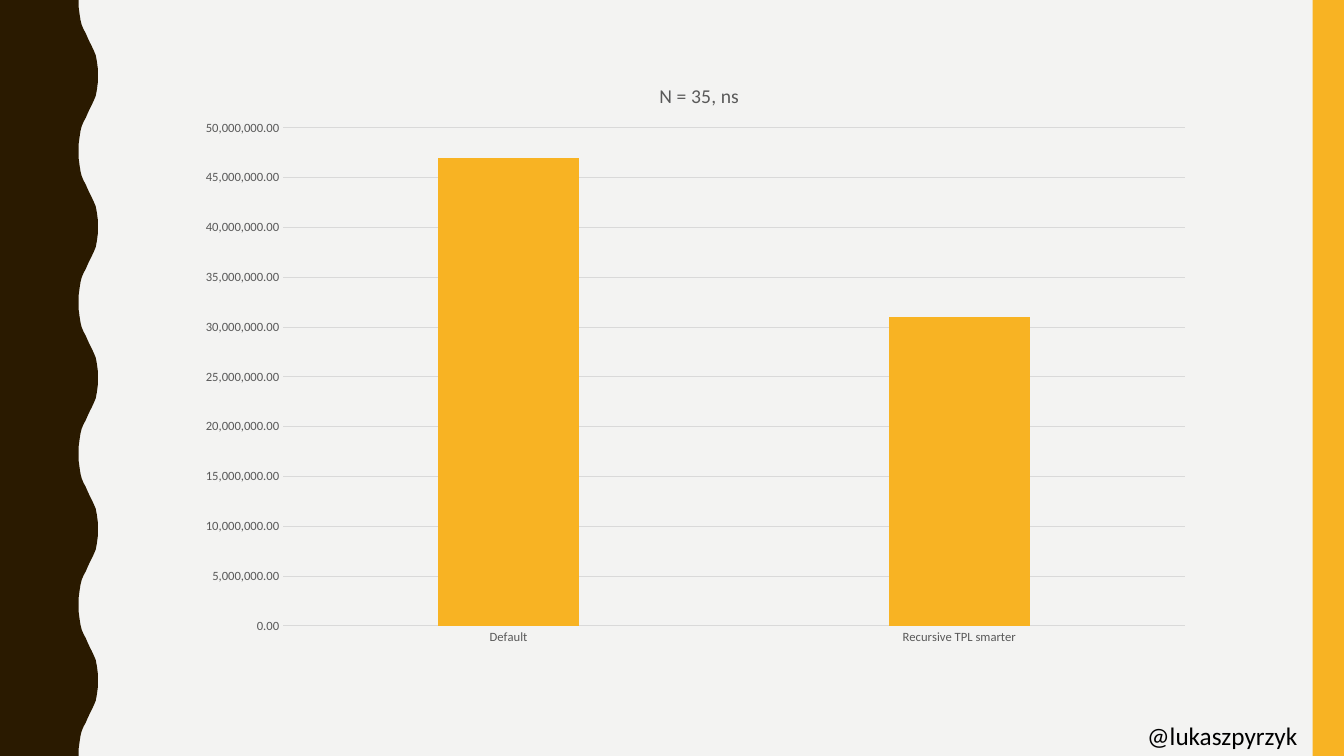
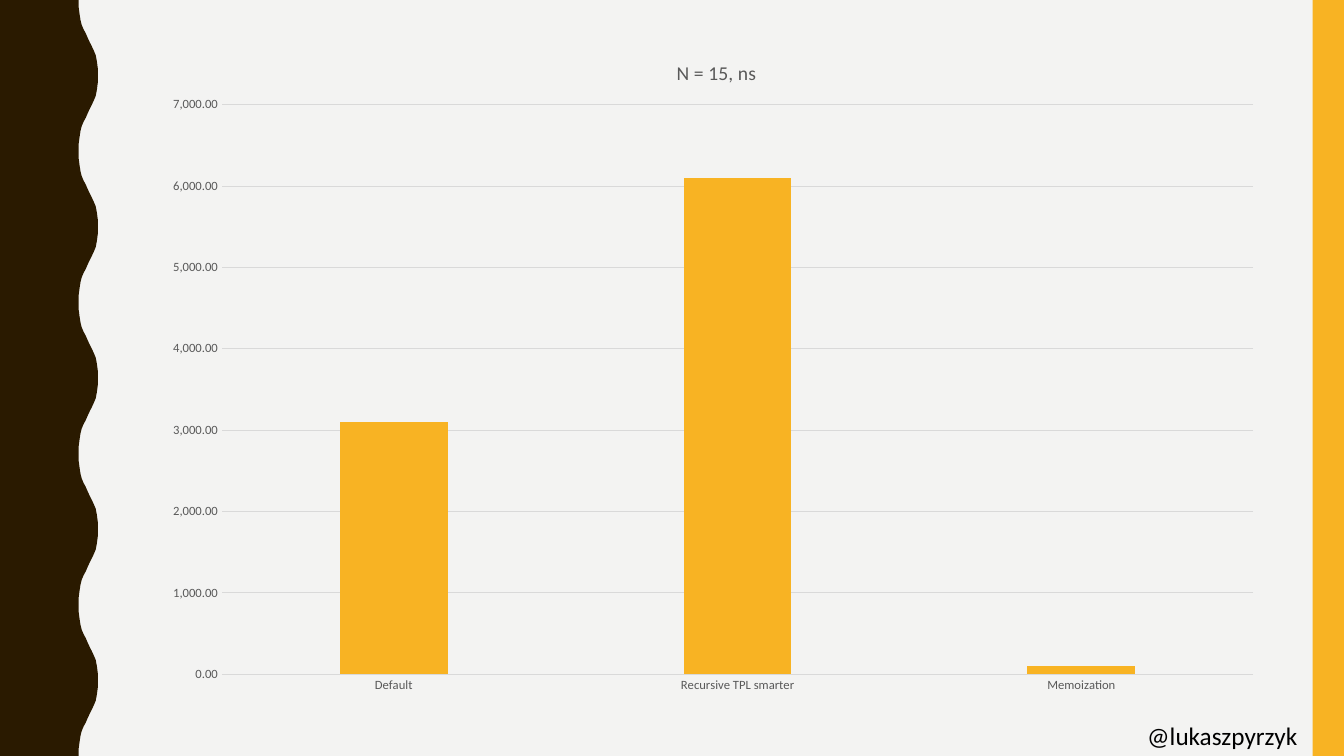
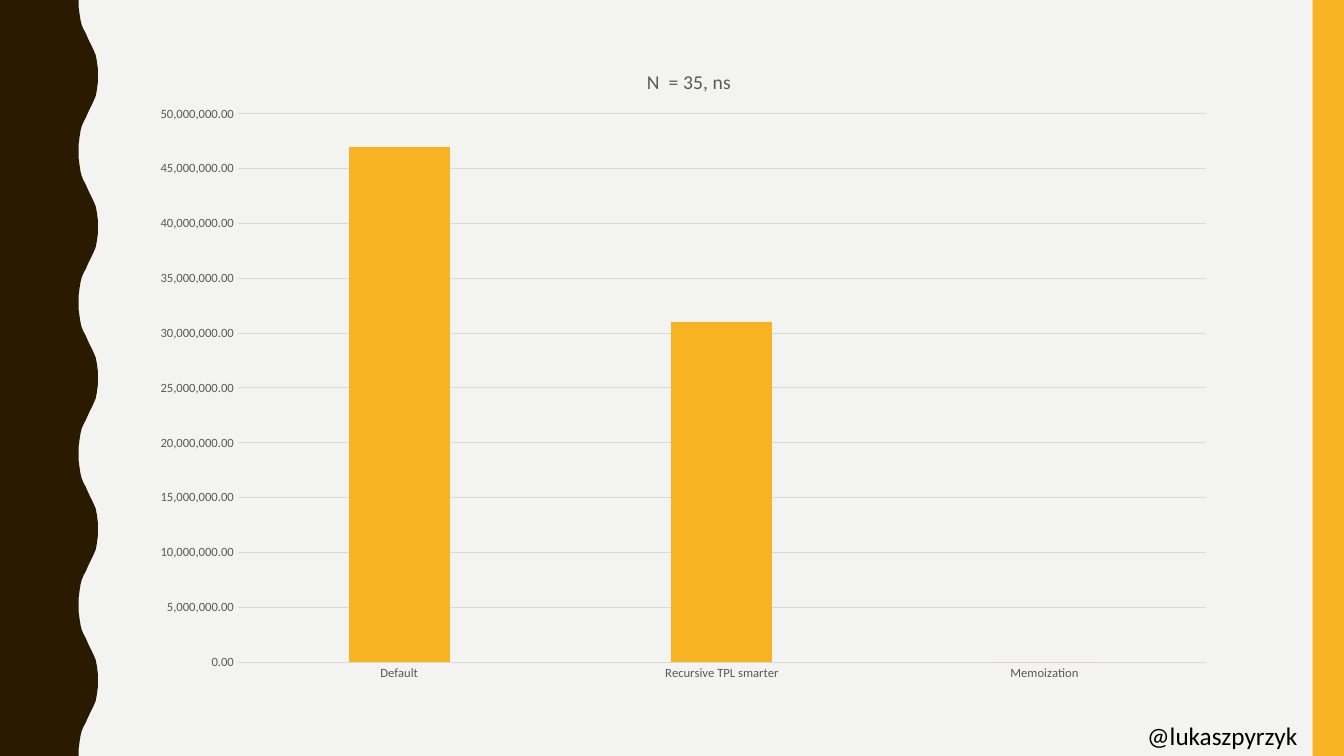
from pptx import Presentation
from pptx.chart.data import CategoryChartData
from pptx.dml.color import RGBColor
from pptx.enum.chart import XL_CHART_TYPE as ChartType, XL_TICK_MARK as TickMark
from pptx.enum.shapes import MSO_SHAPE as Preset
from pptx.oxml import parse_xml
from pptx.oxml.ns import nsdecls
from pptx.util import Inches, Pt

WIDTH, HEIGHT = 13.33, 7.5
FONT = "Calibri"
COLORS = {
    "paper": "F3F3F2",
    "wave": "2A1A00",
    "accent": "F8B323",
    "label": "595959",
    "rule": "D9D9D9",
    "ink": "000000",
}
HANDLE = "@lukaszpyrzyk"
CATEGORIES = ["Default", "Recursive TPL smarter", "Memoization"]

WAVE_COUNT = 5
WAVE_INNER, WAVE_OUTER = 5.85, 7.28
WAVE_PROFILE = [
    (0, 0), (0, 0.09), (0.05, 0.19), (0.1, 0.27), (0.16, 0.33),
    (0.26, 0.39), (0.37, 0.44), (0.47, 0.5), (0.58, 0.56), (0.68, 0.61),
    (0.79, 0.67), (0.89, 0.73), (0.95, 0.81), (1, 0.91), (1, 1),
]

PLOT_TOP, PLOT_RIGHT, PLOT_BOTTOM = 0.73, 0.22, 0.31
TITLE_TOP, TITLE_HALF_WIDTH = 0.24, 0.4

SLIDES = [
    {"title": "N = 35, ns", "area": (13.8, 7.2, 76, 79.73), "label_width": 0.97,
     "values": [47000000, 31000000], "top": 50000000, "step": 5000000},
    {"title": "N = 15, ns", "area": (11.25, 4.13, 83.65, 89.2), "label_width": 0.7,
     "values": [3100, 6100, 100], "top": 7000, "step": 1000},
    {"title": "N  = 35, ns", "area": (10.35, 5.33, 81.02, 86.4), "label_width": 0.98,
     "values": [47000000, 31000000, 0], "top": 50000000, "step": 5000000},
]


def color(name):
    """Look up a palette colour."""
    return RGBColor.from_string(COLORS[name])


def across(percent):
    """Turn a percentage of the slide width into a length."""
    return Inches(WIDTH * percent / 100)


def down(percent):
    """Turn a percentage of the slide height into a length."""
    return Inches(HEIGHT * percent / 100)


def place(left, top, width, height):
    """Turn percentages of the slide into a frame."""
    return across(left), down(top), across(width), down(height)


def paint(shape, name):
    """Give a shape a flat fill without line or shadow."""
    shape.shadow.inherit = False
    shape.fill.solid()
    shape.fill.fore_color.rgb = color(name)
    shape.line.fill.background()


def style_font(font, size, name):
    """Set family, size and colour of a font."""
    font.name = FONT
    font.size = Pt(size)
    font.bold = False
    font.color.rgb = color(name)


def add_wave(page):
    """Draw the dark band with a wavy edge at the left."""
    half = 50 / WAVE_COUNT
    depth = WAVE_OUTER - WAVE_INNER
    points = []
    for wave in range(WAVE_COUNT):
        start = wave * 2 * half
        points += [(WAVE_INNER + depth * x, start + half * y) for x, y in WAVE_PROFILE]
        points += [(WAVE_INNER + depth * x, start + half * (2 - y))
                   for x, y in reversed(WAVE_PROFILE[:-1])]
    points.append((0, 100))
    builder = page.shapes.build_freeform(0, 0)
    builder.add_line_segments([(across(x), down(y)) for x, y in points], close=True)
    paint(builder.convert_to_shape(), "wave")


def add_bar(page):
    """Draw the accent bar at the right edge."""
    frame = place(97.67, 0, 2.33, 100)
    paint(page.shapes.add_shape(Preset.RECTANGLE, *frame), "accent")


def add_handle(page):
    """Write the author's handle in the bottom corner."""
    box = page.shapes.add_textbox(*place(84.62, 94.67, 15.38, 5.33))
    box.text_frame.word_wrap = True
    box.text_frame.text = HANDLE
    style_font(box.text_frame.paragraphs[0].runs[0].font, 18, "ink")


def set_layout(parent, position, target="", **shares):
    """Fix the place of a chart part by shares of the chart."""
    for old in parent.xpath("c:layout"):
        parent.remove(old)
    inner = f'<c:layoutTarget val="{target}"/>' if target else ""
    modes = "".join(f'<c:{axis}Mode val="edge"/>' for axis in "xy")
    sizes = "".join(f'<c:{key} val="{share:.4f}"/>' for key, share in shares.items())
    parent.insert(position, parse_xml(
        f'<c:layout {nsdecls("c")}><c:manualLayout>{inner}{modes}{sizes}'
        "</c:manualLayout></c:layout>"))


def style_axis(axis):
    """Apply the common axis look."""
    axis.major_tick_mark = TickMark.NONE
    axis.minor_tick_mark = TickMark.NONE
    style_font(axis.tick_labels.font, 9, "label")


def style_rule(line):
    """Apply the thin grey rule."""
    line.color.rgb = color("rule")
    line.width = Pt(0.75)


def style_axes(chart, top, step):
    """Style both axes and scale the value axis."""
    style_axis(chart.category_axis)
    chart.category_axis.has_major_gridlines = False
    style_rule(chart.category_axis.format.line)
    axis = chart.value_axis
    style_axis(axis)
    axis.minimum_scale, axis.maximum_scale, axis.major_unit = 0, top, step
    axis.tick_labels.number_format = "#,##0.00"
    axis.tick_labels.number_format_is_linked = False
    axis.format.line.fill.background()
    style_rule(axis.major_gridlines.format.line)


def style_columns(chart):
    """Set the column spacing and colour."""
    plot = chart.plots[0]
    plot.gap_width, plot.overlap = 219, -27
    plot.vary_by_categories = False
    fill = plot.series[0].format.fill
    fill.solid()
    fill.fore_color.rgb = color("accent")


def add_title(chart, text):
    """Write the chart title."""
    chart.has_title = True
    frame = chart.chart_title.text_frame
    frame.text = text
    style_font(frame.paragraphs[0].runs[0].font, 14, "label")
    chart.chart_title.include_in_layout = False


def arrange(chart, area, label_width):
    """Place the title and the plot inside the chart."""
    wide, high = WIDTH * area[2] / 100, HEIGHT * area[3] / 100
    set_layout(chart.element.xpath("c:chart/c:title")[0], 1,
               x=0.5 - TITLE_HALF_WIDTH / wide, y=TITLE_TOP / high)
    set_layout(chart.element.xpath("c:chart/c:plotArea")[0], 0, "inner",
               x=label_width / wide, y=PLOT_TOP / high,
               w=1 - (label_width + PLOT_RIGHT) / wide,
               h=1 - (PLOT_TOP + PLOT_BOTTOM) / high)


def add_column_chart(page, title, area, label_width, values, top, step):
    """Add a column chart of running times."""
    data = CategoryChartData(number_format="#,##0.00")
    data.categories = CATEGORIES[:len(values)]
    data.add_series("Series 1", values)
    chart = page.shapes.add_chart(
        ChartType.COLUMN_CLUSTERED, *place(*area), data).chart
    style_font(chart.font, 10, "ink")
    chart.has_legend = False
    add_title(chart, title)
    style_axes(chart, top, step)
    style_columns(chart)
    arrange(chart, area, label_width)


def add_page(deck):
    """Add a blank slide with the shared decoration."""
    page = deck.slides.add_slide(deck.slide_layouts[6])
    add_wave(page)
    add_bar(page)
    add_handle(page)
    return page


def main():
    """Build the deck."""
    deck = Presentation()
    deck.slide_width, deck.slide_height = Inches(WIDTH), Inches(HEIGHT)
    backdrop = deck.slide_master.background.fill
    backdrop.solid()
    backdrop.fore_color.rgb = color("paper")
    for content in SLIDES:
        add_column_chart(add_page(deck), **content)
    deck.save("out.pptx")


if __name__ == "__main__":
    main()
